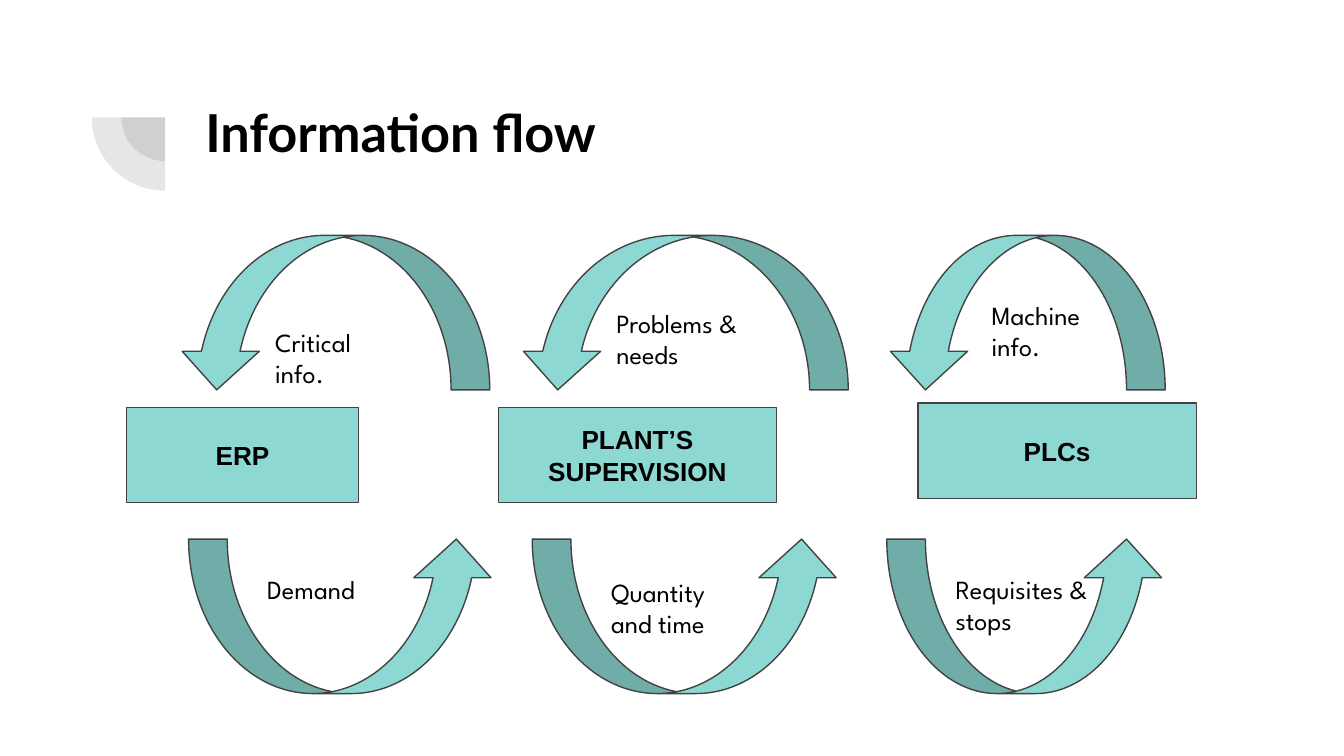
from dataclasses import dataclass

from lxml.etree import SubElement
from pptx import Presentation
from pptx.dml.color import RGBColor
from pptx.enum.shapes import MSO_SHAPE as Shape
from pptx.enum.text import MSO_ANCHOR as Anchor, PP_ALIGN as Align
from pptx.oxml.ns import qn
from pptx.util import Cm, Pt


@dataclass(frozen=True)
class Theme:
    teal: str = "8DD8D3"
    dark: str = "424242"
    ink: str = "000000"
    heading_font: str = "Lato"
    box_font: str = "Arial"
    label_font: str = "League Spartan"
    heading_size: float = 28
    body_size: float = 14
    outline: float = 0.75
    veil: int = 13


THEME = Theme()

HEADING = ("Information flow", (3.63, 1.65, 19.53, 2.77))
CORNER = {"center": (3.12, 2.22), "diameters": (1.65, 2.77)}

SYSTEMS = [
    ("ERP", (2.39, 7.7, 4.39, 1.8)),
    ("PLANT’S SUPERVISION", (9.42, 7.7, 5.26, 1.8)),
    ("PLCs", (17.35, 7.62, 5.26, 1.8)),
]

FLOWS = [
    {
        "turn": 90,
        "middle": 5.91,
        "arcs": [(6.31, 5.89), (12.92, 6.22), (19.39, 5.26)],
        "labels": [
            (["Critical info."], (4.95, 5.92, 2.59, 1.45)),
            (["Problems &", "needs"], (11.4, 5.56, 3.2, 1.45)),
            (["Machine", "info."], (18.49, 5.41, 2.59, 1.45)),
        ],
    },
    {
        "turn": 270,
        "middle": 11.65,
        "arcs": [(6.46, 5.79), (12.97, 5.82), (19.39, 5.26)],
        "labels": [
            (["Demand"], (4.8, 10.59, 2.79, 1.45)),
            (["Quantity", "and time"], (11.3, 10.64, 2.79, 1.22)),
            (["Requisites & stops"], (17.81, 10.59, 3.05, 1.45)),
        ],
    },
]
ARC_DEPTH = 2.92


def lengths(box):
    return [Cm(value) for value in box]


def around(x, y, width, height):
    return x - width / 2, y - height / 2, width, height


def write(frame, text, *, font, size, bold=False, align=Align.LEFT, anchor=Anchor.TOP):
    frame.word_wrap = True
    frame.vertical_anchor = anchor
    frame.margin_left = frame.margin_right = Cm(0.25)
    frame.margin_top = frame.margin_bottom = Cm(0.25)
    frame.text = text
    for paragraph in frame.paragraphs:
        paragraph.alignment = align
        for run in paragraph.runs:
            run.font.name = font
            run.font.size = Pt(size)
            run.font.bold = bold
            run.font.color.rgb = RGBColor.from_string(THEME.ink)


def draw(slide, kind, box, *, fill=THEME.teal, line=THEME.dark, turn=0):
    figure = slide.shapes.add_shape(kind, *lengths(box))
    figure.shadow.inherit = False
    figure.rotation = turn
    figure.fill.solid()
    figure.fill.fore_color.rgb = RGBColor.from_string(fill)
    if line:
        figure.line.color.rgb = RGBColor.from_string(line)
        figure.line.width = Pt(THEME.outline)
    else:
        figure.line.fill.background()
    return figure


def draw_corner(slide):
    for diameter in CORNER["diameters"]:
        box = around(*CORNER["center"], diameter, diameter)
        quarter = draw(slide, Shape.PIE, box, fill=THEME.dark, line=None, turn=270)
        quarter.adjustments[0], quarter.adjustments[1] = 108, 162
        color = next(quarter.element.spPr.iter(qn("a:srgbClr")))
        SubElement(color, qn("a:alpha"), val=str(THEME.veil * 1000))


def main():
    deck = Presentation()
    deck.slide_width, deck.slide_height = Cm(25.4), Cm(14.29)
    slide = deck.slides.add_slide(deck.slide_layouts[6])

    draw_corner(slide)
    title, title_box = HEADING
    heading = slide.shapes.add_textbox(*lengths(title_box))
    write(heading.text_frame, title, font=THEME.heading_font,
          size=THEME.heading_size, bold=True)

    for name, box in SYSTEMS:
        system = draw(slide, Shape.RECTANGLE, box)
        write(system.text_frame, name, font=THEME.box_font, size=THEME.body_size,
              bold=True, align=Align.CENTER, anchor=Anchor.MIDDLE)

    for flow in FLOWS:
        for center, span in flow["arcs"]:
            draw(slide, Shape.CURVED_RIGHT_ARROW,
                 around(center, flow["middle"], ARC_DEPTH, span), turn=flow["turn"])
        for lines, box in flow["labels"]:
            label = slide.shapes.add_textbox(*lengths(box))
            write(label.text_frame, "\n".join(lines), font=THEME.label_font,
                  size=THEME.body_size)

    deck.save("out.pptx")


if __name__ == "__main__":
    main()
